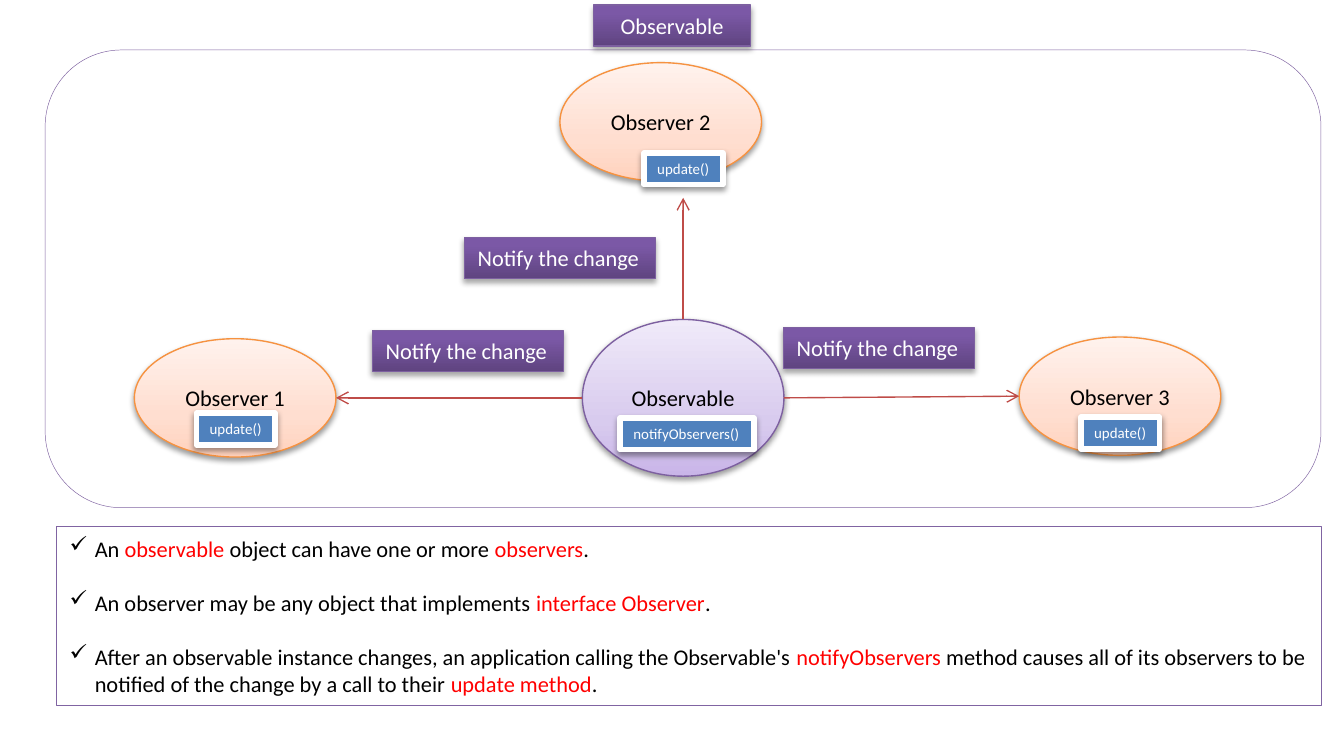
from lxml.etree import SubElement as Sub
from pptx import Presentation
from pptx.dml.color import RGBColor
from pptx.enum.shapes import MSO_CONNECTOR as Link, MSO_SHAPE as Kind
from pptx.enum.text import MSO_ANCHOR as Anchor, MSO_AUTO_SIZE as Auto, PP_ALIGN as Align
from pptx.oxml.ns import qn
from pptx.util import Pt

BLACK = RGBColor(0x00, 0x00, 0x00)
WHITE = RGBColor(0xFF, 0xFF, 0xFF)
RED = RGBColor(0xFF, 0x00, 0x00)
BLUE = RGBColor(0x4F, 0x81, 0xBD)
BRICK = RGBColor(0xBF, 0x4C, 0x48)
ORANGE = RGBColor(0xF6, 0x92, 0x40)
PURPLE = RGBColor(0x7D, 0x60, 0xA0)
VIOLET = RGBColor(0x80, 0x64, 0xA2)

# Gradient stops: percent and colour, from the bottom up
PLUM = [(0, RGBColor(0x5F, 0x44, 0x80)), (80, RGBColor(0x7B, 0x58, 0xA6)),
        (100, RGBColor(0x7C, 0x57, 0xA8))]
LILAC = [(0, RGBColor(0xC9, 0xB5, 0xE8)), (35, RGBColor(0xD8, 0xCB, 0xEE)),
         (100, RGBColor(0xF0, 0xEA, 0xF9))]
PEACH = [(0, RGBColor(0xFF, 0xD2, 0xBD)), (35, RGBColor(0xFF, 0xDE, 0xD0)),
         (100, RGBColor(0xFF, 0xF2, 0xED))]

# Each point alternates plain and red text
POINTS = [
    ["An ", "observable", " object can have one or more ", "observers", "."],
    ["An observer may be any object that implements ", "interface Observer", "."],
    ["After an observable instance changes, an application calling the Observable's ",
     "notifyObservers",
     " method causes all of its observers to be notified of the change by a call to their ",
     "update method", "."],
]


class Sketch:
    font = "Calibri"
    size = 12
    small = 8

    def __init__(self, slide):
        self.slide = slide

    def shape(self, kind, box, fill, line, width):
        item = self.slide.shapes.add_shape(kind, *map(Pt, box))
        item.shadow.inherit = False
        if isinstance(fill, list):
            self.blend(item, fill)
        else:
            item.fill.solid()
            item.fill.fore_color.rgb = fill
        item.line.color.rgb = line
        item.line.width = Pt(width)
        return item

    def blend(self, item, stops):
        """Fill with a vertical gradient of any number of stops."""
        item.fill.gradient()
        item.fill.gradient_angle = 90
        group = item._element.spPr.find(qn("a:gradFill")).find(qn("a:gsLst"))
        for old in list(group):
            group.remove(old)
        for place, color in stops:
            stop = Sub(group, qn("a:gs"), pos=str(place * 1000))
            Sub(stop, qn("a:srgbClr"), val=str(color))

    def shade(self, item, alpha=38, dist=1.6):
        """Add a soft shadow below the shape."""
        glow = item._element.spPr.find(qn("a:effectLst"))
        drop = Sub(glow, qn("a:outerShdw"), blurRad=str(Pt(3.1)),
                   dist=str(Pt(dist)), dir="5400000", rotWithShape="0")
        tone = Sub(drop, qn("a:srgbClr"), val=str(BLACK))
        Sub(tone, qn("a:alpha"), val=str(alpha * 1000))

    def style(self, font, color, size):
        font.name = self.font
        font.size = Pt(size)
        font.color.rgb = color

    def label(self, item, text, color, size, align=Align.CENTER):
        frame = item.text_frame
        frame.text = text
        para = frame.paragraphs[0]
        para.alignment = align
        self.style(para.runs[0].font, color, size)
        return frame

    def panel(self, kind, box):
        return self.shape(kind, box, WHITE, VIOLET, 0.25)

    def oval(self, text, box, fill, line):
        item = self.shape(Kind.OVAL, box, fill, line, 0.75)
        self.shade(item)
        self.label(item, text, BLACK, self.size).vertical_anchor = Anchor.MIDDLE

    def tag(self, text, box, align=Align.LEFT):
        item = self.shape(Kind.RECTANGLE, box, PLUM, PURPLE, 0.75)
        self.shade(item, 35, 1.8)
        self.fit(self.label(item, text, WHITE, self.size, align), align == Align.CENTER)

    def call(self, text, box):
        item = self.shape(Kind.RECTANGLE, box, BLUE, WHITE, 3)
        self.shade(item)
        self.fit(self.label(item, text, WHITE, self.small, Align.LEFT), False)

    def fit(self, frame, wrap):
        frame.word_wrap = wrap
        frame.auto_size = Auto.SHAPE_TO_FIT_TEXT
        frame.vertical_anchor = Anchor.TOP

    def arrow(self, *ends):
        item = self.slide.shapes.add_connector(Link.STRAIGHT, *map(Pt, ends))
        item.line.color.rgb = BRICK
        item.line.width = Pt(0.75)
        Sub(item._element.spPr.find(qn("a:ln")), qn("a:tailEnd"), type="arrow")
        Sub(item._element.spPr, qn("a:effectLst"))

    def checks(self, box, points):
        frame = self.panel(Kind.RECTANGLE, box).text_frame
        frame.word_wrap = True
        frame.vertical_anchor = Anchor.MIDDLE
        for i, parts in enumerate(points):
            para = frame.add_paragraph() if i else frame.paragraphs[0]
            para.alignment = Align.LEFT
            props = para._p.get_or_add_pPr()
            props.set("marL", str(Pt(13.5)))
            props.set("indent", str(-Pt(13.5)))
            if i:
                para.space_before = Pt(14.6)
            Sub(props, qn("a:buChar"), char="✓")
            for j, text in enumerate(parts):
                run = para.add_run()
                run.text = text
                self.style(run.font, RED if j % 2 else BLACK, self.size)


def main():
    deck = Presentation()
    deck.slide_width, deck.slide_height = Pt(720), Pt(396)
    art = Sketch(deck.slides.add_slide(deck.slide_layouts[6]))

    art.panel(Kind.ROUNDED_RECTANGLE, (24.2, 26.8, 683.5, 245.3))
    art.tag("Observable", (318, 2.8, 84.2, 22), Align.CENTER)
    art.oval("Observable", (312, 171.2, 108, 84), LILAC, PURPLE)

    seats = [("Observer 1", 72, 181.5), ("Observer 3", 546, 180.6),
             ("Observer 2", 300, 33.6)]
    for name, x, y in seats:
        art.oval(name, (x, y, 108, 63.4), PEACH, ORANGE)

    art.arrow(366, 171.2, 366, 106)
    art.arrow(312, 213.2, 180, 213.2)
    art.arrow(420, 213.2, 546, 212.3)

    for x, y in [(199.5, 177), (419.7, 175.5), (248.8, 127.3)]:
        art.tag("Notify the change", (x, y, 102.4, 22))

    art.checks((30.2, 282.2, 677.5, 95.8), POINTS)

    for x, y in [(105.2, 221.5), (579, 223.5), (345, 82)]:
        art.call("update()", (x, y, 42.2, 17))
    art.call("notifyObservers()", (332.2, 224, 71.8, 17))

    deck.save("out.pptx")


if __name__ == "__main__":
    main()
